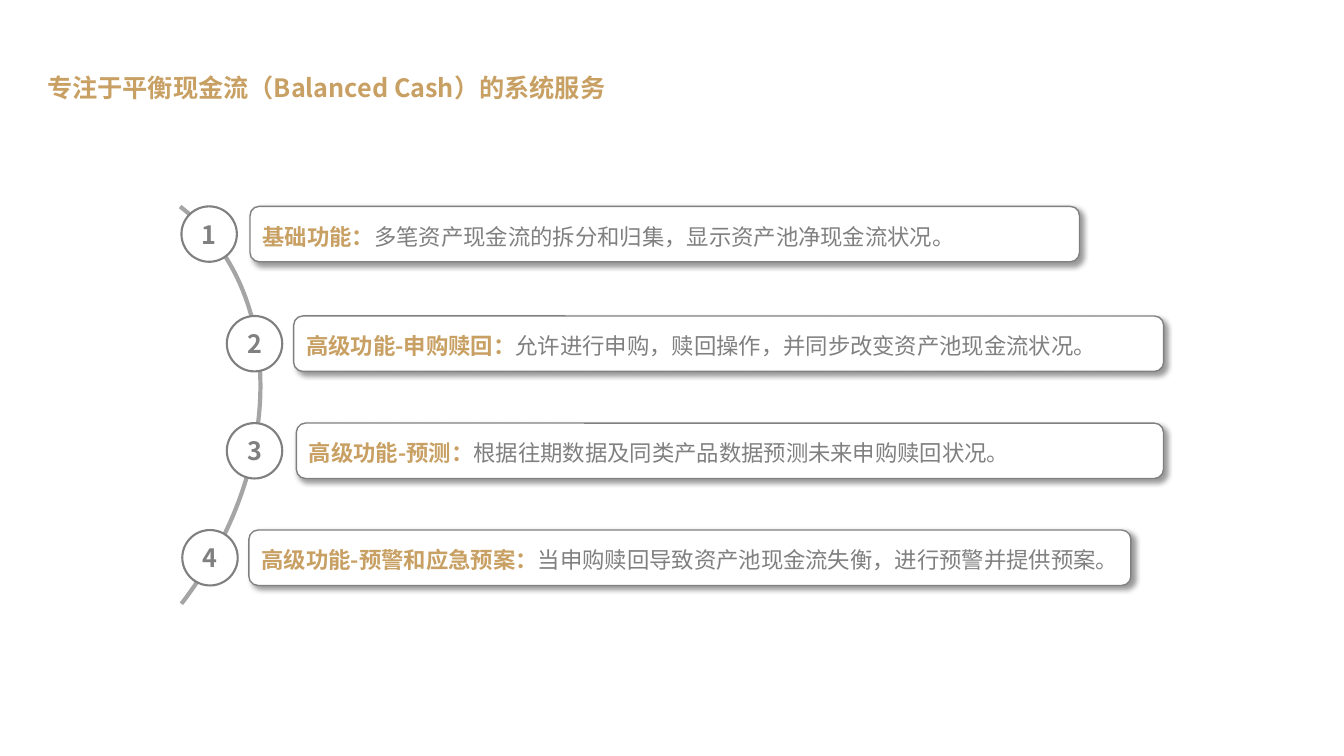
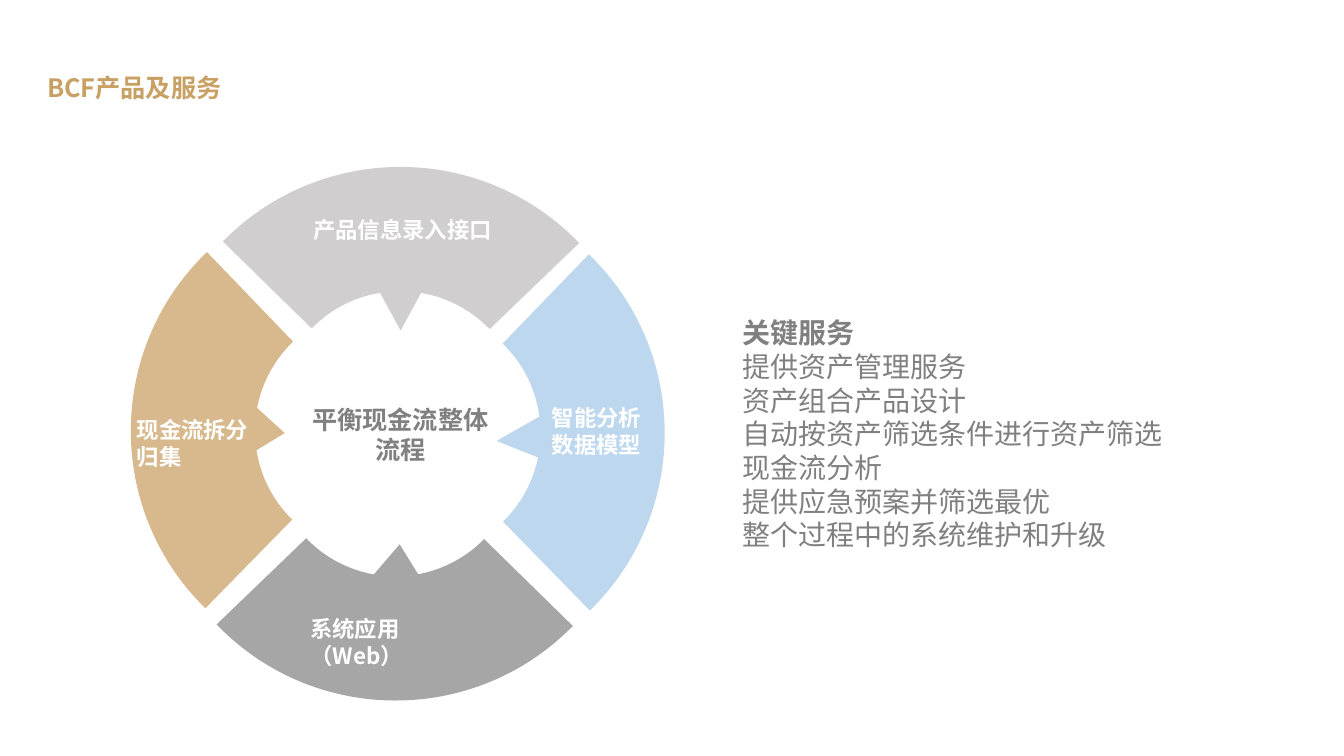
from itertools import pairwise
from math import cos, radians, sin, tan

from lxml.etree import SubElement
from pptx import Presentation
from pptx.dml.color import RGBColor
from pptx.enum.shapes import MSO_SHAPE
from pptx.enum.text import MSO_ANCHOR, MSO_AUTO_SIZE, PP_ALIGN
from pptx.oxml.ns import qn
from pptx.util import Pt

GOLD, GRAY, WHITE = "C8A063", "808080", "FFFFFF"
TAN, BLUE, SILVER, STEEL = "D7B98D", "BDD7EE", "D0CECE", "A6A6A6"
SANS, SANS_TC = "Noto Sans CJK SC", "Noto Sans CJK TC"

FREE = {"word_wrap": True, "auto_size": MSO_AUTO_SIZE.SHAPE_TO_FIT_TEXT}
SERVICES = {"word_wrap": True, "margin_top": Pt(61.3)}
MIDDLE = {"word_wrap": True, "vertical_anchor": MSO_ANCHOR.MIDDLE}
LEFT = {"alignment": PP_ALIGN.LEFT}
CENTER = {"alignment": PP_ALIGN.CENTER}
TITLE = {"alignment": PP_ALIGN.LEFT, "line_spacing": 1.15, "space_before": Pt(24)}
CARD = {"alignment": PP_ALIGN.LEFT, "line_spacing": 1.15, "space_after": Pt(10)}

TITLE_FONT = {"name": SANS, "size": Pt(18), "bold": True, "color": GOLD}
HUB_FONT = TITLE_FONT | {"color": GRAY}
NUMBER_FONT = HUB_FONT | {"name": SANS_TC}
LABEL_FONT = TITLE_FONT | {"size": Pt(16), "color": WHITE}
CARD_HEAD_FONT = LABEL_FONT | {"color": GOLD}
CARD_BODY_FONT = LABEL_FONT | {"color": GRAY, "bold": False}
SERVICE_HEAD_FONT = HUB_FONT | {"size": Pt(20)}
SERVICE_FONT = SERVICE_HEAD_FONT | {"bold": False}


def paint(fill, color):
    fill.solid()
    fill.fore_color.rgb = RGBColor.from_string(color)


def write(shape, frame_format, paragraph_format, *lines):
    frame = shape.text_frame
    for name, value in frame_format.items():
        setattr(frame, name, value)
    for index, runs in enumerate(lines):
        paragraph = frame.add_paragraph() if index else frame.paragraphs[0]
        for name, value in paragraph_format.items():
            setattr(paragraph, name, value)
        for text, font_format in runs:
            run = paragraph.add_run()
            run.text = text
            for name, value in font_format.items():
                if name == "color":
                    paint(run.font.fill, value)
                else:
                    setattr(run.font, name, value)
            east_asian = SubElement(run.font._element, qn("a:ea"))
            east_asian.set("typeface", font_format["name"])


presentation = Presentation()
presentation.slide_width, presentation.slide_height = Pt(960), Pt(540)
slides = []
for title in ("专注于平衡现金流（Balanced Cash）的系统服务", "BCF产品及服务"):
    slide = presentation.slides.add_slide(presentation.slide_layouts[6])
    box = slide.shapes.add_textbox(Pt(26.6), Pt(45), Pt(915), Pt(32))
    write(box, FREE, TITLE, [(title, TITLE_FONT)])
    slides.append(slide)
features_slide, process_slide = slides

arc = features_slide.shapes.add_shape(
    MSO_SHAPE.ARC, Pt(-182.5), Pt(100.8), Pt(348.5), Pt(447.8))
arc.rotation = 37.7
arc.shadow.inherit = False
arc.fill.background()
paint(arc.line.fill, "A5A5A5")
arc.line.width = Pt(3)

features = [
    (147.4, 129.6, 178.6, 592.5, "基础功能：",
     "多笔资产现金流的拆分和归集，显示资产池净现金流状况。"),
    (225.7, 162, 209.8, 621.4, "高级功能-申购赎回：",
     "允许进行申购，赎回操作，并同步改变资产池现金流状况。"),
    (302.2, 162, 211.7, 619.4, "高级功能-预测：",
     "根据往期数据及同类产品数据预测未来申购赎回状况。"),
    (378.6, 130.2, 177.8, 630, "高级功能-预警和应急预案：",
     "当申购赎回导致资产池现金流失衡，进行预警并提供预案。"),
]
for index, (top, circle_left, card_left, card_width, head, body) in enumerate(features):
    card = features_slide.shapes.add_shape(
        MSO_SHAPE.ROUNDED_RECTANGLE, Pt(card_left), Pt(top), Pt(card_width), Pt(39.6))
    circle = features_slide.shapes.add_shape(
        MSO_SHAPE.OVAL, Pt(circle_left), Pt(top), Pt(39.6), Pt(39.6))
    for shape, line_width in ((card, 1), (circle, 1.5)):
        shape.shadow.inherit = False
        paint(shape.fill, WHITE)
        paint(shape.line.fill, GRAY)
        shape.line.width = Pt(line_width)
    effects = card._element.spPr.find(qn("a:effectLst"))
    shadow = SubElement(effects, qn("a:outerShdw"), blurRad=str(Pt(4)), dist=str(Pt(3)),
                        dir="2700000", algn="tl", rotWithShape="0")
    shadow_color = SubElement(shadow, qn("a:srgbClr"), val="000000")
    SubElement(shadow_color, qn("a:alpha"), val="40000")
    write(card, MIDDLE, CARD, [(head, CARD_HEAD_FONT), (body, CARD_BODY_FONT)])
    write(circle, MIDDLE, CENTER, [(str(index + 1), NUMBER_FONT)])

pointers = [
    (172.8, 295.9, 36.7, 24.5, 95.6, TAN),
    (358.6, 295.2, 46.8, 29.5, 21.9, BLUE),
    (267.8, 202.3, 36.7, 33.8, 180, SILVER),
    (265, 388.8, 38.9, 26.6, 4.4, STEEL),
]
for left, top, width, height, rotation, color in pointers:
    pointer = process_slide.shapes.add_shape(
        MSO_SHAPE.ISOSCELES_TRIANGLE, Pt(left), Pt(top), Pt(width), Pt(height))
    pointer.rotation = rotation
    pointer.shadow.inherit = False
    paint(pointer.fill, color)
    pointer.line.fill.background()

OUTER_RADIUS, INNER_RADIUS = 177.3, 88.6
angles = [radians(-89.4), 0, radians(2.3)]
outline = []
for radius, stops in ((OUTER_RADIUS, angles), (INNER_RADIUS, angles[::-1])):
    outline.append((radius * cos(stops[0]), radius * sin(stops[0])))
    for start, end in pairwise(stops):
        reach = 4 / 3 * tan((end - start) / 4)
        outline += [
            (radius * (cos(start) - reach * sin(start)),
             radius * (sin(start) + reach * cos(start))),
            (radius * (cos(end) + reach * sin(end)),
             radius * (sin(end) - reach * cos(end))),
            (radius * cos(end), radius * sin(end)),
        ]
points = [(Pt(x), Pt(y)) for x, y in outline]

wedges = [
    (147.5, 307.5, 223.8, TAN),
    (282.2, 446.3, 133.8, STEEL),
    (286.2, 173.3, 313.8, SILVER),
    (420.7, 308.6, 43.4, BLUE),
]
for center_x, center_y, rotation, color in wedges:
    builder = process_slide.shapes.build_freeform(*points[0])
    builder.add_line_segments(points[1:], close=True)
    wedge = builder.convert_to_shape()
    segments = list(wedge._element.iter(qn("a:lnTo")))
    for first in (0, 3, 7, 10):
        curve = segments[first]
        parent = curve.getparent()
        bezier = SubElement(parent, qn("a:cubicBezTo"))
        curve.addprevious(bezier)
        for segment in segments[first:first + 3]:
            bezier.append(segment[0])
            parent.remove(segment)
    wedge.left = Pt(center_x) - wedge.width // 2
    wedge.top = Pt(center_y) - wedge.height // 2
    wedge.rotation = rotation
    wedge.shadow.inherit = False
    paint(wedge.fill, color)
    wedge.line.fill.background()

labels = [
    (193.2, 151.2, 188.6, 26.6, CENTER, LABEL_FONT, "产品信息录入接口"),
    (90.6, 293.8, 108, 46.1, LEFT, LABEL_FONT, "现金流拆分归集"),
    (387.1, 285.1, 88.6, 46.1, LEFT, LABEL_FONT, "智能分析数据模型"),
    (214.6, 436.1, 144, 26.6, LEFT, LABEL_FONT, "系统应用（Web）"),
    (213.9, 285.1, 144, 51.1, CENTER, HUB_FONT, "平衡现金流整体流程"),
]
for left, top, width, height, paragraph_format, font_format, text in labels:
    label = process_slide.shapes.add_textbox(Pt(left), Pt(top), Pt(width), Pt(height))
    write(label, FREE, paragraph_format, [(text, font_format)])

services = [
    "提供资产管理服务",
    "资产组合产品设计",
    "自动按资产筛选条件进行资产筛选",
    "现金流分析",
    "提供应急预案并筛选最优",
    "整个过程中的系统维护和升级",
]
service_box = process_slide.shapes.add_textbox(Pt(523.2), Pt(164.4), Pt(388), Pt(269.3))
write(service_box, SERVICES, LEFT, [("关键服务", SERVICE_HEAD_FONT)],
      *[[(service, SERVICE_FONT)] for service in services])

presentation.save("out.pptx")
